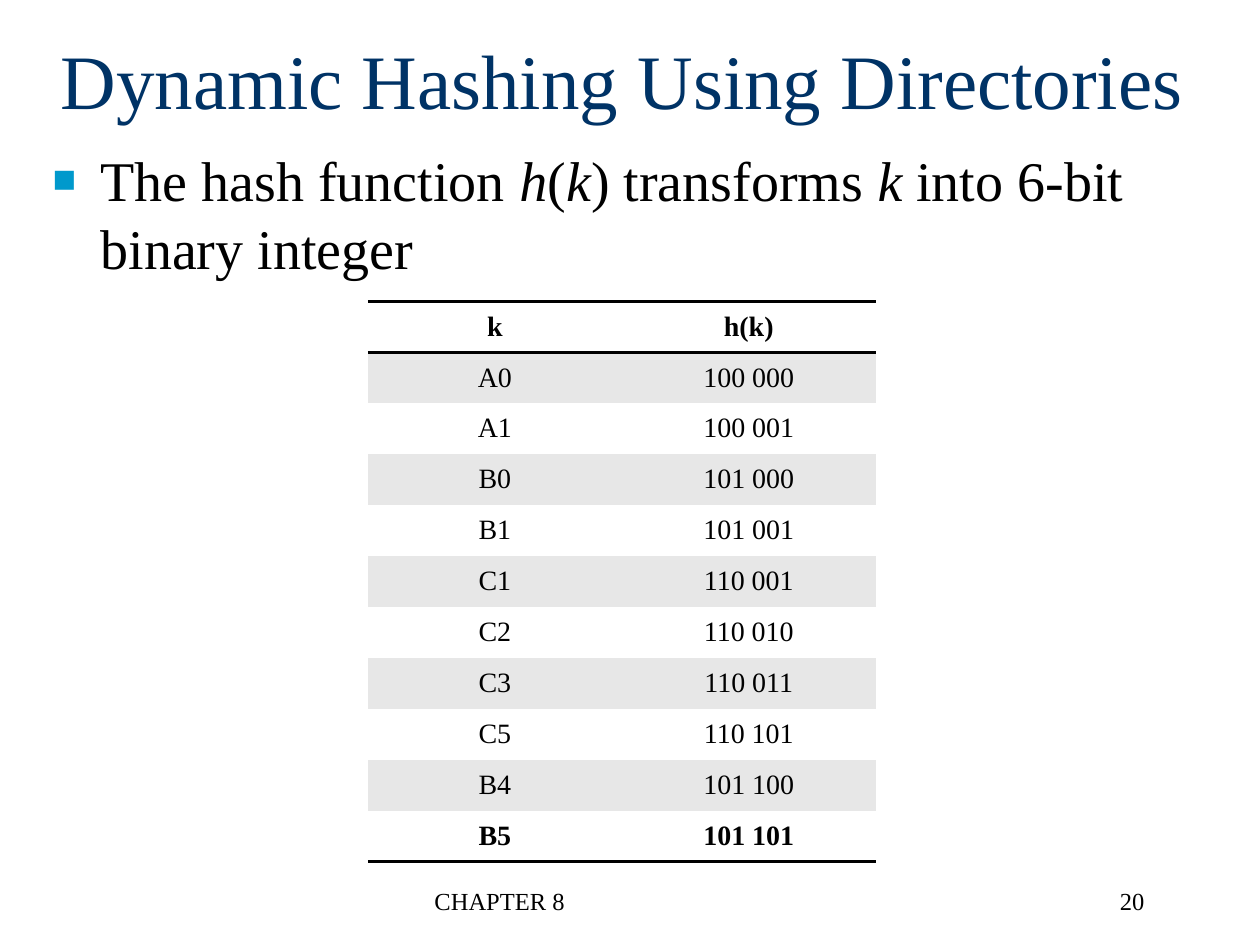
"""Build the slide on dynamic hashing using directories."""
import pptx
import pptx.util
import pptx.dml.color
import pptx.enum.text
import pptx.oxml.ns
from lxml import etree

Inches = pptx.util.Inches
Pt = pptx.util.Pt
RGBColor = pptx.dml.color.RGBColor
Align = pptx.enum.text.PP_ALIGN
Anchor = pptx.enum.text.MSO_ANCHOR

NAVY = RGBColor(0x00, 0x33, 0x66)
CYAN = RGBColor(0x00, 0x99, 0xCC)
BLACK = RGBColor(0x00, 0x00, 0x00)
WHITE = RGBColor(0xFF, 0xFF, 0xFF)
GRAY = RGBColor(0xE7, 0xE7, 0xE7)
FONT = "Times New Roman"
PLAIN_TABLE_STYLE = "{2D5ABB26-0587-4C30-8999-92F81FD0307C}"

TITLE = "Dynamic Hashing Using Directories"
STATEMENT = [
    ("The hash function ", False), ("h", True), ("(", False), ("k", True),
    (") transforms ", False), ("k", True), (" into 6-bit binary integer", False),
]
FOOTER = "CHAPTER 8"
PAGE_NUMBER = "20"
HASHES = [
    ("k", "h(k)"),
    ("A0", "100 000"), ("A1", "100 001"),
    ("B0", "101 000"), ("B1", "101 001"),
    ("C1", "110 001"), ("C2", "110 010"), ("C3", "110 011"), ("C5", "110 101"),
    ("B4", "101 100"), ("B5", "101 101"),
]
TABLE_AREA = (2.92, 2.39, 4.03, 4.45)


def add_element(parent, tag, **attributes):
    return etree.SubElement(parent, pptx.oxml.ns.qn(tag), attributes)


def style_font(font, size, color=BLACK, bold=False, italic=False):
    font.name = FONT
    font.size = Pt(size)
    font.color.rgb = color
    font.bold = bold
    font.italic = italic


def add_text(page, area, spans, size, color=BLACK, align=Align.LEFT, anchor=Anchor.TOP):
    box = page.shapes.add_textbox(*map(Inches, area))
    frame = box.text_frame
    frame.word_wrap = True
    frame.vertical_anchor = anchor
    para = frame.paragraphs[0]
    para.alignment = align
    for text, italic in spans:
        span = para.add_run()
        span.text = text
        style_font(span.font, size, color, italic=italic)
    return para


def add_bullet(para):
    properties = para._p.get_or_add_pPr()
    properties.set("marL", str(Inches(0.38)))
    properties.set("indent", str(-Inches(0.38)))
    add_element(add_element(properties, "a:buClr"), "a:srgbClr", val=str(CYAN))
    add_element(properties, "a:buSzPct", val="70000")
    add_element(properties, "a:buFont", typeface=FONT)
    add_element(properties, "a:buChar", char="■")


def add_border(cell, tag):
    line = add_element(cell._tc.get_or_add_tcPr(), tag, w=str(Pt(2)))
    add_element(add_element(line, "a:solidFill"), "a:srgbClr", val=str(BLACK))


def add_hash_table(page):
    row_count, column_count = len(HASHES), len(HASHES[0])
    frame = page.shapes.add_table(row_count, column_count, *map(Inches, TABLE_AREA))
    table = frame.table
    table.first_row = table.horz_banding = False
    table._tbl.tblPr.find(pptx.oxml.ns.qn("a:tableStyleId")).text = PLAIN_TABLE_STYLE
    last = row_count - 1
    for row, values in enumerate(HASHES):
        for column, value in enumerate(values):
            cell = table.cell(row, column)
            cell.text_frame.text = value
            cell.vertical_anchor = Anchor.MIDDLE
            para = cell.text_frame.paragraphs[0]
            para.alignment = Align.CENTER
            style_font(para.runs[0].font, 16, bold=row in (0, last))
            if row == 0:
                add_border(cell, "a:lnT")
            if row in (0, last):
                add_border(cell, "a:lnB")
            cell.fill.solid()
            cell.fill.fore_color.rgb = GRAY if row % 2 else WHITE


def main():
    deck = pptx.Presentation()
    deck.slide_width, deck.slide_height = Inches(10), Inches(7.5)
    page = deck.slides.add_slide(deck.slide_layouts[6])
    add_text(page, (3.35, 6.98, 3.17, 0.5), [(FOOTER, False)], 14)
    add_text(page, (7.1, 6.98, 2.08, 0.5), [(PAGE_NUMBER, False)], 14, align=Align.RIGHT)
    add_text(page, (0.21, 0, 9.46, 1.25), [(TITLE, False)], 44, NAVY,
             Align.CENTER, Anchor.MIDDLE)
    add_bullet(add_text(page, (0.32, 1.11, 9.24, 5.87), STATEMENT, 32))
    add_hash_table(page)
    deck.save("out.pptx")


if __name__ == "__main__":
    main()
